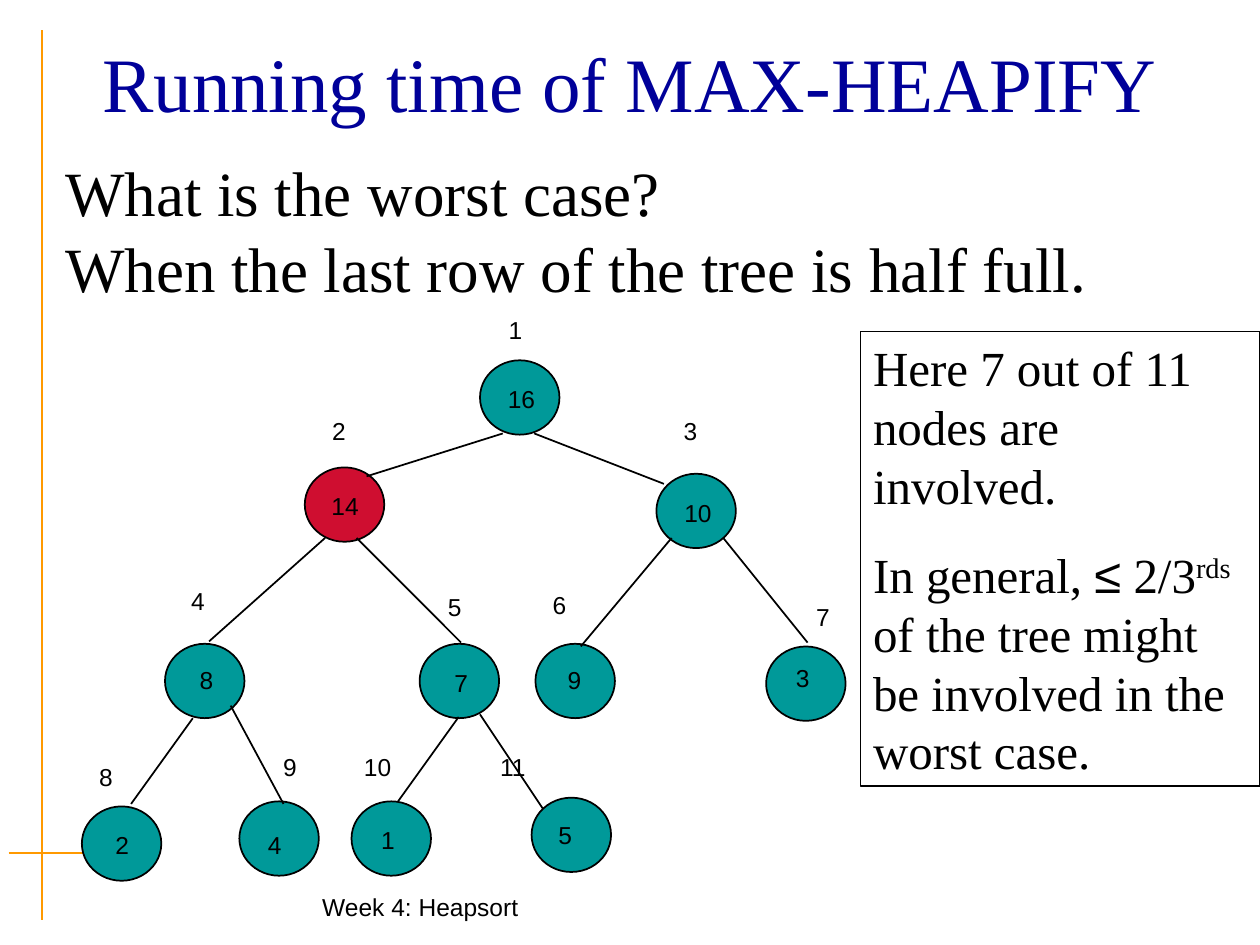
from lxml import etree
from pptx import Presentation
from pptx.dml.color import RGBColor
from pptx.enum import shapes, text
from pptx.oxml import ns
from pptx.util import Pt

HUES = {"ink": "000000", "title": "000099", "node": "009999",
        "hot": "CF0E30", "rule": "FF9900"}
SERIF, SANS = "Times New Roman", "Arial"
LEFT, MID = text.PP_ALIGN.LEFT, text.PP_ALIGN.CENTER
LEAD = 1.2
DIAM = (45.4, 42.5)

# value, circle corner, value corner, index corner (heap order)
NODES = [
    ("16", (274.3, 205.9), (278.6, 216), (277.2, 176.4)),
    ("14", (174.2, 267.1), (177.8, 277.2), (176.4, 234)),
    ("10", (375.1, 270.7), (379.4, 280.8), (377.3, 234)),
    ("8", (94.3, 367.9), (98.6, 376.6), (95.8, 331.2)),
    ("7", (239.8, 367.9), (244.1, 378), (242.6, 334.8)),
    ("9", (306, 367.9), (308.9, 376.6), (302.4, 333.4)),
    ("3", (437.8, 369.4), (439.2, 375.1), (452.9, 340.6)),
    ("2", (46.8, 460.8), (50.4, 470.9), (43.2, 432)),
    ("4", (136.8, 457.9), (137.5, 470.9), (148.3, 426.2)),
    ("1", (200.9, 457.9), (202.3, 468), None),
    ("5", (303.8, 455.8), (303.5, 465.1), None),
]
EDGES = [
    (287.3, 247.7, 209.5, 272.2), (305.3, 247.7, 379.4, 276.5),
    (185.8, 307.4, 119.5, 366.5), (203.8, 307.4, 263.5, 367.2),
    (383.8, 307.4, 331.9, 369.4), (413.3, 307.4, 461.5, 367.2),
    (110.2, 410.4, 74.9, 459.4), (131.8, 403.2, 162, 459.4),
    (262.1, 409.7, 227.5, 457.9), (274.3, 408.2, 310.3, 462.2),
]
RULES = [(23.8, 17.3, 23.8, 525.6), (5, 487.4, 68.4, 487.4)]


def tint(name):
    return RGBColor.from_string(HUES[name])


def assign(obj, **vals):
    for key, val in vals.items():
        setattr(obj, key, val)


def add_run(para, words, size, face, hue="ink"):
    run = para.add_run()
    run.text = words
    assign(run.font, size=Pt(size), name=face)
    run.font.color.rgb = tint(hue)
    return run


def set_frame(frame, anchor=text.MSO_ANCHOR.TOP):
    assign(frame, word_wrap=True, vertical_anchor=anchor,
           margin_left=Pt(7.2), margin_right=Pt(7.2),
           margin_top=Pt(3.6), margin_bottom=Pt(3.6))


def add_text(slide, box, lines, size=14, face=SANS, hue="ink", align=MID,
             anchor=text.MSO_ANCHOR.TOP):
    frame = slide.shapes.add_textbox(*map(Pt, box)).text_frame
    set_frame(frame, anchor)
    for i, line in enumerate(lines):
        para = frame.add_paragraph() if i else frame.paragraphs[0]
        assign(para, alignment=align, line_spacing=Pt(size * LEAD))
        add_run(para, line, size, face, hue)
    return frame


def add_tab(para, pos):
    """Put a left tab stop at pos points."""
    props = para._p.get_or_add_pPr()
    stops = etree.SubElement(props, ns.qn("a:tabLst"))
    etree.SubElement(stops, ns.qn("a:tab"), pos=str(Pt(pos)), algn="l")


def add_line(slide, ends, hue="ink", width=1):
    line = slide.shapes.add_connector(shapes.MSO_CONNECTOR.STRAIGHT,
                                      *map(Pt, ends))
    line.line.color.rgb = tint(hue)
    line.line.width = Pt(width)
    etree.SubElement(line._element.spPr, ns.qn("a:effectLst"))


def add_form(slide, kind, box, fill=None):
    form = slide.shapes.add_shape(kind, *map(Pt, box))
    form.shadow.inherit = False
    if fill:
        form.fill.solid()
        form.fill.fore_color.rgb = tint(fill)
    else:
        form.fill.background()
    form.line.color.rgb = tint("ink")
    form.line.width = Pt(1)
    return form


def add_tree(slide):
    for i, (value, spot, inner, outer) in enumerate(NODES, 1):
        add_form(slide, shapes.MSO_SHAPE.OVAL, spot + DIAM,
                 "hot" if i == 2 else "node")
        add_text(slide, inner + (38.9, 23.8), [value])
        if outer:
            add_text(slide, outer + (34.6, 23.8), [str(i)])
    for ends in EDGES:
        add_line(slide, ends)
    pair = add_text(slide, (200.9, 426.2, 171.4, 23.8), ["10\t11"],
                    align=LEFT)
    add_tab(pair.paragraphs[0], 77.8)


def add_note(slide):
    form = add_form(slide, shapes.MSO_SHAPE.RECTANGLE,
                    (491.8, 189.4, 228.2, 259.9))
    frame = form.text_frame
    set_frame(frame)
    first, last = frame.paragraphs[0], frame.add_paragraph()
    for para in (first, last):
        assign(para, alignment=LEFT, line_spacing=Pt(28 * LEAD))
    last.space_before = Pt(17.5)
    add_run(first, "Here 7 out of 11 nodes are involved.", 28, SERIF)
    for words, face in (("In general, ", SERIF), ("≤", SANS),
                        (" 2/3", SERIF), ("rds", SERIF),
                        (" of the tree might be involved in the worst case.",
                         SERIF)):
        run = add_run(last, words, 28, face)
        if words == "rds":
            run.font._element.set("baseline", "30000")


def main():
    deck = Presentation()
    assign(deck, slide_width=Pt(720), slide_height=Pt(540))
    slide = deck.slides.add_slide(deck.slide_layouts[6])
    for ends in RULES:
        add_line(slide, ends, "rule", 1.19)
    add_text(slide, (63.4, 506.2, 353.5, 24.5), ["Week 4: Heapsort"])
    add_text(slide, (36, 21.6, 648, 50.4), ["Running time of MAX-HEAPIFY"],
             44, SERIF, "title", anchor=text.MSO_ANCHOR.MIDDLE)
    add_text(slide, (30.2, 84.2, 666, 437.8),
             ["What is the worst case?",
              "When the last row of the tree is half full."],
             36, SERIF, align=LEFT)
    add_tree(slide)
    add_note(slide)
    deck.save("out.pptx")


if __name__ == "__main__":
    main()
